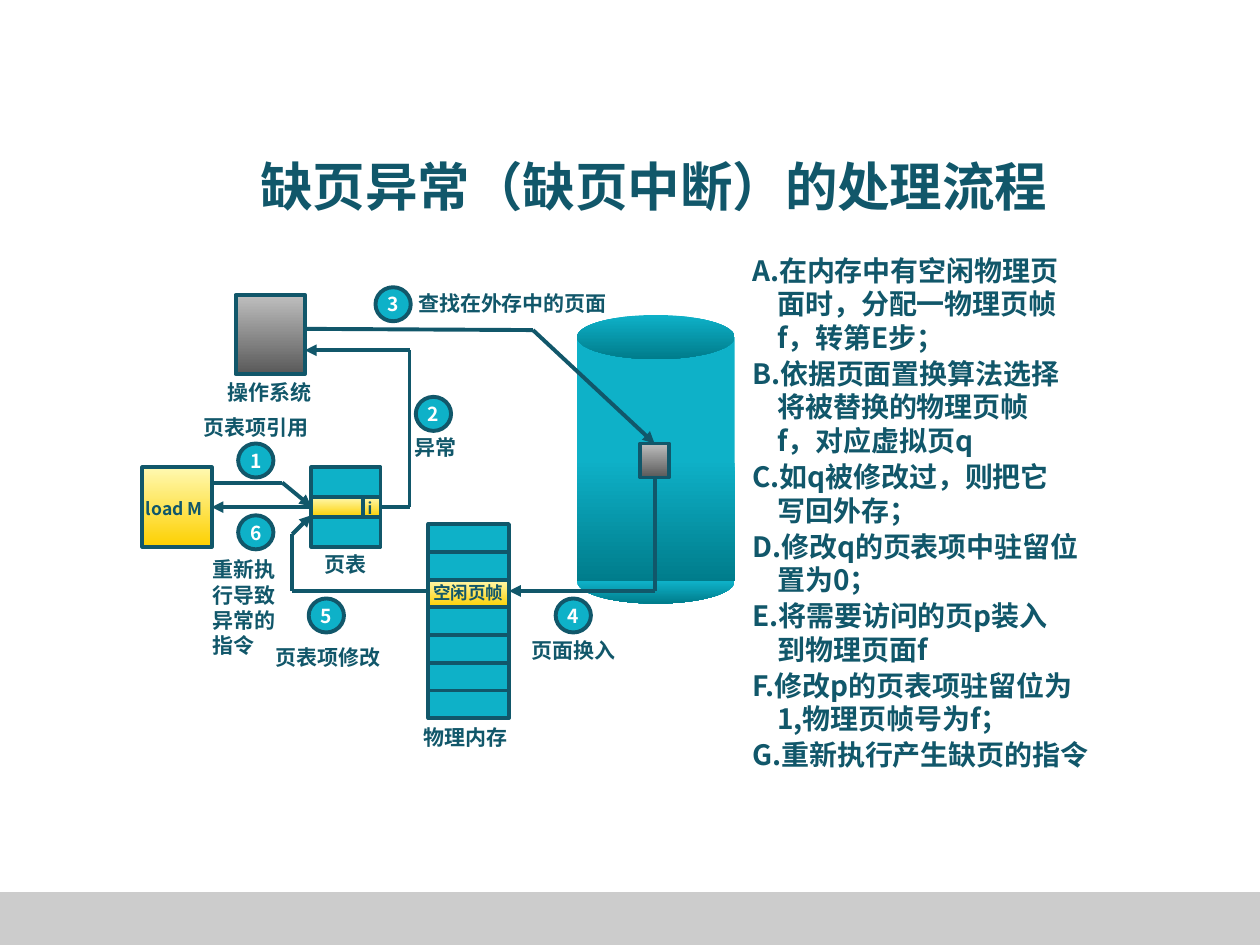
from dataclasses import dataclass
from itertools import pairwise

from lxml.etree import SubElement
from pptx import Presentation
from pptx.dml.color import RGBColor
from pptx.enum.shapes import MSO_CONNECTOR, MSO_SHAPE
from pptx.enum.text import MSO_ANCHOR, MSO_AUTO_SIZE, PP_ALIGN
from pptx.oxml.ns import qn
from pptx.util import Inches, Pt

COLORS = {"ink": "11576A", "teal": "0EB1C8", "deep": "007C8B", "pale": "FFF9B1",
          "gold": "FDD000", "silver": "BFBFBF", "iron": "595959",
          "white": "FFFFFF", "footer": "CCCCCC"}
FONT = "Noto Sans CJK SC"
SLIDE_WIDTH, SLIDE_HEIGHT = Inches(10), Inches(7.5)
COLUMNS = 100
CELL = SLIDE_WIDTH / COLUMNS
TOP, LEFT, BOTTOM, RIGHT = range(4)
STEPS = [
    ["在内存中有空闲物理页", "面时，分配一物理页帧", "f，转第E步；"],
    ["B.依据页面置换算法选择", "将被替换的物理页帧", "f，对应虚拟页q"],
    ["C.如q被修改过，则把它", "写回外存；"],
    ["D.修改q的页表项中驻留位", "置为0；"],
    ["E.将需要访问的页p装入", "到物理页面f"],
    ["F.修改p的页表项驻留位为", "1,物理页帧号为f；"],
    ["G.重新执行产生缺页的指令"],
]


@dataclass
class Box:
    left: float
    top: float
    width: float
    height: float

    def point(self, x, y):
        return round((self.left + x) * CELL), round((self.top + y) * CELL)

    def area(self, x, y, width, height):
        return *self.point(x, y), round(width * CELL), round(height * CELL)

    def whole(self):
        return self.area(0, 0, self.width, self.height)


def color(name):
    return RGBColor.from_string(COLORS[name])


def add_run(paragraph, text, size, ink="ink"):
    run = paragraph.add_run()
    run.text = text
    run.font.size = Pt(size)
    run.font.bold = True
    run.font.name = FONT
    run.font.color.rgb = color(ink)
    SubElement(run.font._element, qn("a:ea"), typeface=FONT)
    paragraph.line_spacing = Pt(round(size * 1.2, 1))


def add_label(slide, area, text, size=12):
    frame = slide.shapes.add_textbox(*area).text_frame
    frame.word_wrap = True
    add_run(frame.paragraphs[0], text, size)


def add_block(slide, area, fill, outlined=True, preset=MSO_SHAPE.RECTANGLE, start=0):
    block = slide.shapes.add_shape(preset, *area)
    block.shadow.inherit = False
    if isinstance(fill, tuple):
        block.fill.gradient()
        block.fill.gradient_angle = 270
        for stop, name, position in zip(block.fill.gradient_stops, fill, (start, 1)):
            stop.color.rgb = color(name)
            stop.position = position
    else:
        block.fill.solid()
        block.fill.fore_color.rgb = color(fill)
    if outlined:
        block.line.color.rgb = color("ink")
        block.line.width = Pt(2.25)
    else:
        block.line.fill.background()
    return block


def add_badge(slide, area, number):
    frame = add_block(slide, area, "teal", preset=MSO_SHAPE.OVAL).text_frame
    frame.word_wrap = False
    frame.vertical_anchor = MSO_ANCHOR.MIDDLE
    frame.paragraphs[0].alignment = PP_ALIGN.CENTER
    add_run(frame.paragraphs[0], number, 11, "white")


def add_segment(slide, start, end, arrow=False):
    joined = [not isinstance(stop[0], int) for stop in (start, end)]
    ends = [(0, 0) if glued else stop for glued, stop in zip(joined, (start, end))]
    segment = slide.shapes.add_connector(MSO_CONNECTOR.STRAIGHT, *ends[0], *ends[1])
    if joined[0]:
        segment.begin_connect(*start)
    if joined[1]:
        segment.end_connect(*end)
    segment.line.color.rgb = color("ink")
    segment.line.width = Pt(2.25)
    if arrow:
        SubElement(segment.line._get_or_add_ln(), qn("a:tailEnd"), type="triangle")
    SubElement(segment._element.spPr, qn("a:effectLst"))


def add_route(slide, stops):
    legs = list(pairwise(stops))
    for index, (start, end) in enumerate(legs, 1):
        add_segment(slide, start, end, arrow=index == len(legs))


def settle(holder, box):
    holder.left, holder.top, holder.width, holder.height = box.whole()
    frame = holder.text_frame
    frame.auto_size = MSO_AUTO_SIZE.NONE
    frame.word_wrap = True
    frame.vertical_anchor = MSO_ANCHOR.TOP
    return frame


def place_title(slide, box):
    paragraph = settle(slide.shapes.title, box).paragraphs[0]
    paragraph.alignment = PP_ALIGN.CENTER
    add_run(paragraph, "缺页异常（缺页中断）的处理流程", 30)


def place_steps(slide, box):
    frame = settle(slide.placeholders[1], box)
    for index, lines in enumerate(STEPS):
        paragraph = frame.add_paragraph() if index else frame.paragraphs[0]
        properties = paragraph._p.get_or_add_pPr()
        properties.set("marL", str(Inches(0.2)))
        properties.set("indent", str(-Inches(0.2)))
        if index:
            SubElement(properties, qn("a:buNone"))
        else:
            SubElement(properties, qn("a:buFont"), typeface=FONT)
            SubElement(properties, qn("a:buAutoNum"), type="alphaUcPeriod")
        paragraph.space_before = Pt(1.4 if index else 0)
        for number, line in enumerate(lines):
            if number:
                paragraph.add_line_break()
            add_run(paragraph, line, 16)


def place_disk(slide, box):
    rim = 3.5
    shade = ("teal", "deep")
    add_block(slide, box.area(0, box.height - rim, box.width, rim), shade, False,
              MSO_SHAPE.OVAL, 0.5)
    add_block(slide, box.area(0, rim / 2, box.width, box.height - rim), shade, False,
              start=0.5)
    add_block(slide, box.area(0, 0, box.width, rim), shade, False, MSO_SHAPE.OVAL)
    return add_block(slide, box.area(5, 10.2, 2.3, 2.7), ("silver", "iron"))


def place_system(slide, box):
    add_block(slide, box.whole(), ("silver", "iron"))
    add_label(slide, box.area(-1.6, 6.2, 10.2, 3), "操作系统")


def place_instruction(slide, box):
    instruction = add_block(slide, box.whole(), ("pale", "gold"))
    add_label(slide, box.area(-0.7, 1.9, 7, 2.7), "load M", 10)
    return instruction


def place_page_table(slide, box):
    add_block(slide, box.whole(), "teal")
    entry = add_block(slide, box.area(0, 2.35, box.width, 1.6), ("pale", "gold"))
    add_segment(slide, box.point(4.1, 2.35), box.point(4.1, 3.95))
    add_label(slide, box.area(3.5, 2, 2.3, 2.5), "i", 9)
    add_label(slide, box.area(0.1, 6.2, 12, 3), "页表")
    return entry


def place_memory(slide, box):
    row = box.height / 7
    add_block(slide, box.whole(), "teal")
    for divider in (1, 4, 5, 6):
        add_segment(slide, box.point(0, divider * row), box.point(box.width, divider * row))
    add_block(slide, box.area(0, 2 * row, box.width, row), ("pale", "gold"))
    add_label(slide, box.area(-0.6, 4.1, 8.6, 2.7), "空闲页帧", 10)
    add_label(slide, box.area(-1.4, box.height, 10.2, 3), "物理内存")


def place_flow(slide, box, instruction, entry, page):
    routes = [
        [box.point(6.9, 16.3), box.point(12.4, 16.3), box.point(14.7, 18.2)],
        [(entry, RIGHT), box.point(22.5, 18.25), box.point(22.5, 5.8), box.point(14.2, 5.8)],
        [box.point(14.2, 4.1), box.point(32.3, 4.2), (page, TOP)],
        [(page, BOTTOM), box.point(41.95, 24.9), box.point(30.4, 24.9)],
        [box.point(24, 24.9), box.point(13.2, 24.9), box.point(13.2, 20.4),
         box.point(14.7, 18.9)],
        [(entry, LEFT), (instruction, RIGHT)],
    ]
    captions = [
        ((8.9, 13.2), (5.2, 10.4, 11, 3), "页表项引用"),
        ((23, 9.5), (21.9, 12, 6, 3), "异常"),
        ((19.8, 0.8), (22.2, 0.6, 18.7, 3), "查找在外存中的页面"),
        ((34.1, 25.5), (31.2, 28.1, 9, 3), "页面换入"),
        ((14.5, 25.5), (10.9, 28.7, 11, 3), "页表项修改"),
        ((8.9, 18.9), (5.9, 21.7, 7.9, 9.1), "重新执行导致异常的指令"),
    ]
    for number, (route, (badge, area, text)) in enumerate(zip(routes, captions), 1):
        add_route(slide, route)
        add_badge(slide, box.area(*badge, 2.8, 2.7), str(number))
        add_label(slide, box.area(*area), text)


def main():
    deck = Presentation()
    deck.slide_width, deck.slide_height = SLIDE_WIDTH, SLIDE_HEIGHT
    slide = deck.slides.add_slide(deck.slide_layouts[1])
    add_block(slide, Box(0, 70.8, COLUMNS, 4.2).whole(), "footer", False)
    place_title(slide, Box(18.7, 11.7, 66.4, 5.8))
    place_steps(slide, Box(58.7, 19.6, 30.3, 42.3))
    page = place_disk(slide, Box(45.8, 25, 12.5, 22.9))
    place_system(slide, Box(18.7, 23.4, 5.5, 6.3))
    instruction = place_instruction(slide, Box(11.3, 37.1, 5.5, 6.3))
    entry = place_page_table(slide, Box(24.7, 37.1, 5.5, 6.3))
    place_memory(slide, Box(34, 41.6, 6.4, 15.4))
    place_flow(slide, Box(10, 22, 48, 38), instruction, entry, page)
    deck.save("out.pptx")


if __name__ == "__main__":
    main()
